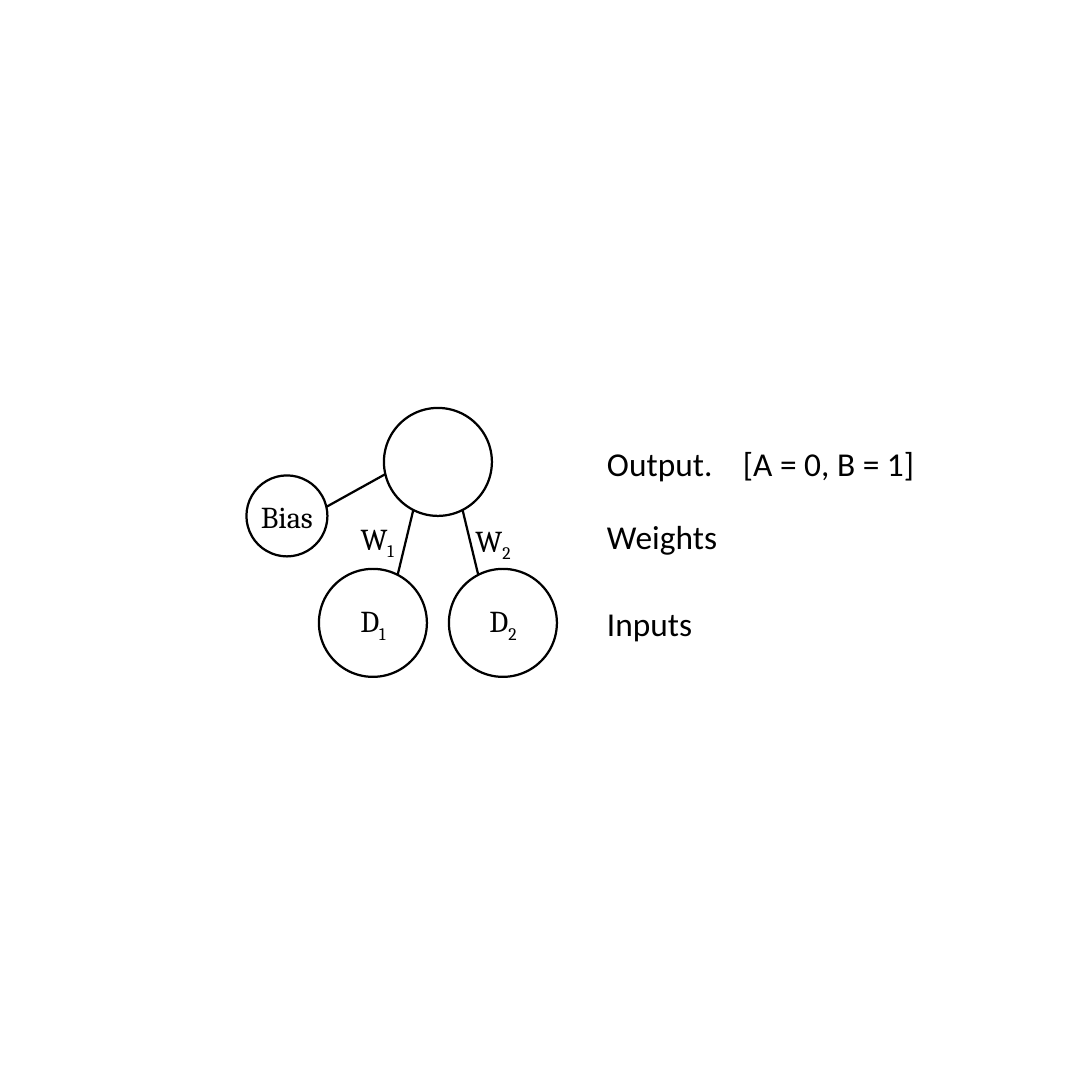
from lxml import etree
from pptx import Presentation
from pptx.dml.color import RGBColor
from pptx.enum.shapes import MSO_CONNECTOR as Connector, MSO_SHAPE as Preset
from pptx.enum.text import MSO_ANCHOR as Anchor, MSO_AUTO_SIZE as AutoSize, PP_ALIGN as Align
from pptx.oxml.ns import qn
from pptx.util import Emu, Inches, Pt

BLACK = RGBColor(0, 0, 0)
WHITE = RGBColor(255, 255, 255)
EMU_PER_PX = 914400 / 218.4
NODE_SIZE, BIAS_SIZE = 108, 81
DIAGONAL = 0.5 ** 0.5


def px(length):
    return Emu(round(length * EMU_PER_PX))


def write(para, text, subscript="", font_name="Cambria", size=10):
    para.font.name = font_name
    para.font.size = Pt(size)
    para.font.color.rgb = BLACK
    para.add_run().text = text
    if subscript:
        span = para.add_run()
        span.text = subscript
        span._r.get_or_add_rPr().set("baseline", "-25000")


def clear_margins(frame):
    frame.margin_left = frame.margin_right = 0
    frame.margin_top = frame.margin_bottom = 0


def add_edge(page, start, end):
    edge = page.shapes.add_connector(Connector.STRAIGHT, *map(px, start + end))
    edge.line.color.rgb = BLACK
    edge.line.width = Pt(0.75)
    etree.SubElement(edge._element.spPr, qn("a:effectLst"))


def add_node(page, center, size, text="", subscript=""):
    x, y = center
    node = page.shapes.add_shape(
        Preset.OVAL, px(x - size / 2), px(y - size / 2), px(size), px(size))
    node.shadow.inherit = False
    node.fill.solid()
    node.fill.fore_color.rgb = WHITE
    node.line.color.rgb = BLACK
    node.line.width = Pt(0.75)
    if text:
        frame = node.text_frame
        clear_margins(frame)
        frame.vertical_anchor = Anchor.MIDDLE
        para = frame.paragraphs[0]
        para.alignment = Align.CENTER
        write(para, text, subscript)


def add_text_box(page, left, top, width, height, wrap):
    box = page.shapes.add_textbox(*map(px, (left, top, width, height)))
    frame = box.text_frame
    frame.word_wrap = wrap
    frame.auto_size = AutoSize.SHAPE_TO_FIT_TEXT
    return frame


def draw_network(page, left, top):
    """Draw the perceptron with its bias, two inputs and two weights."""
    output = (left + 191, top + 54)
    bias = (left + 40, top + 108)
    inputs = [(left + 126, top + 215), (left + 256, top + 215)]
    radius = NODE_SIZE / 2
    reach, bias_reach = radius * DIAGONAL, BIAS_SIZE / 2 * DIAGONAL

    add_edge(page, (bias[0] - bias_reach, bias[1] + bias_reach),
             (output[0] + reach, output[1] - reach))
    for x, y in inputs:
        add_edge(page, (x, y + radius), (output[0], output[1] - radius))

    for number, center in enumerate(inputs, 1):
        add_node(page, center, NODE_SIZE, "D", str(number))
    add_node(page, output, NODE_SIZE)
    add_node(page, bias, BIAS_SIZE, "Bias")

    for number, (x, y) in enumerate([(92, 101), (207, 103)], 1):
        frame = add_text_box(page, left + x, top + y, 83, 59, False)
        write(frame.paragraphs[0], "W", str(number))


def add_tab_stop(para, position):
    tabs = etree.Element(qn("a:tabLst"))
    etree.SubElement(tabs, qn("a:tab"), pos=str(px(position)), algn="l")
    para._p.get_or_add_pPr().insert(0, tabs)


def draw_captions(page, left, top):
    """Name the layers beside the network, from output to inputs."""
    captions = [(0, "Output.\t[A = 0, B = 1]"), (73, "Weights"), (160, "Inputs")]
    for offset, text in captions:
        frame = add_text_box(page, left, top + offset, 354, 42, True)
        clear_margins(frame)
        para = frame.paragraphs[0]
        write(para, text, font_name="Calibri", size=11)
        if "\t" in text:
            add_tab_stop(para, 136)


def main():
    deck = Presentation()
    deck.slide_width = deck.slide_height = Inches(5)
    page = deck.slides.add_slide(deck.slide_layouts[6])
    draw_network(page, 247, 408)
    draw_captions(page, 607, 443)
    deck.save("out.pptx")


if __name__ == "__main__":
    main()
